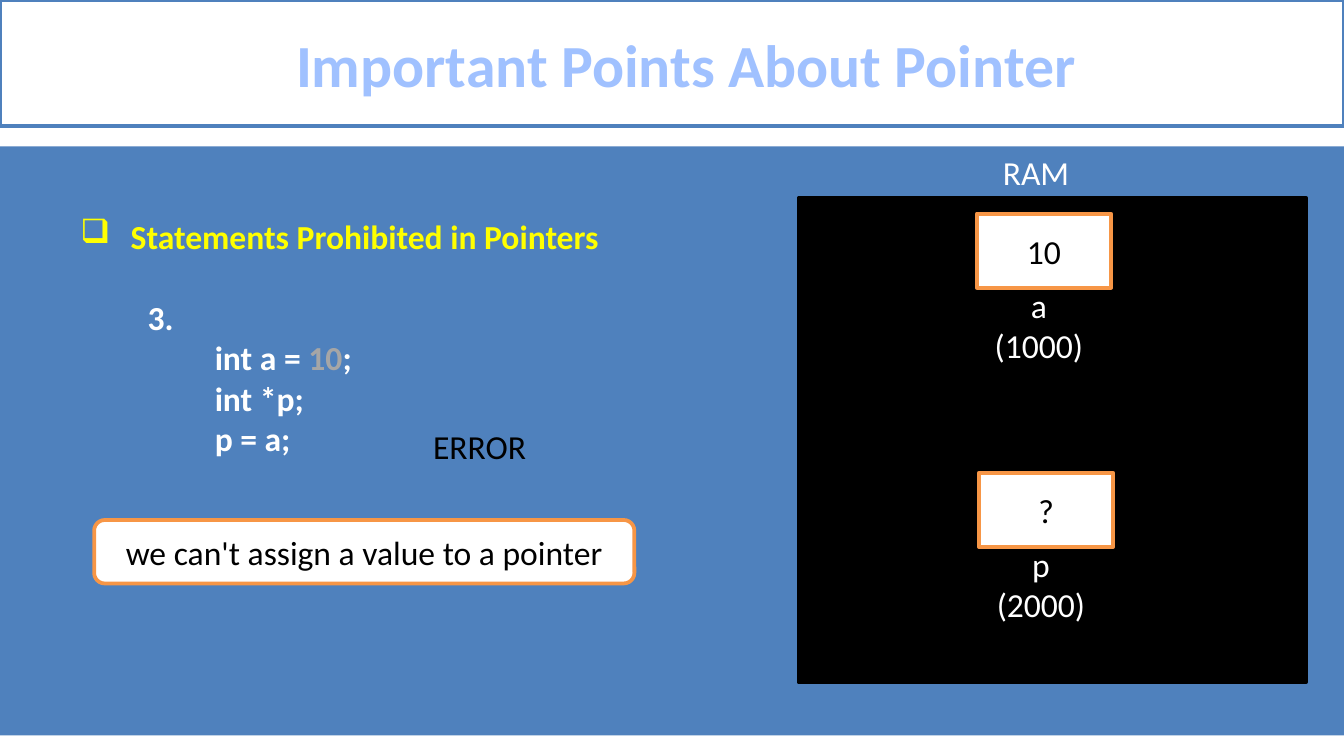
from lxml import etree
from pptx import Presentation
from pptx.dml.color import RGBColor
from pptx.enum.shapes import MSO_SHAPE
from pptx.enum.text import MSO_ANCHOR, PP_ALIGN
from pptx.oxml.ns import qn
from pptx.util import Cm, Pt

RECTANGLE, ROUNDED = MSO_SHAPE.RECTANGLE, MSO_SHAPE.ROUNDED_RECTANGLE
LEFT, CENTER = PP_ALIGN.LEFT, PP_ALIGN.CENTER
TOP, MIDDLE = MSO_ANCHOR.TOP, MSO_ANCHOR.MIDDLE

COLORS = {
    "white": "FFFFFF", "black": "000000", "blue": "4F81BD", "orange": "F79646",
    "yellow": "FFFF00", "gray": "A6A6A6", "title": "A0C1FF",
}


def rgb(name):
    return RGBColor.from_string(COLORS[name])


class PointerSlide:
    """Holds the text style and the page that elements are added to."""

    font_name = "Calibri"
    font_size = 18

    def __init__(self, page):
        self.page = page

    def style(self, para, color, size=font_size, bold=False, align=LEFT):
        para.alignment = align
        font = para.font
        font.name, font.size, font.bold = self.font_name, Pt(size), bold
        font.color.rgb = rgb(color)

    def box(self, place, fill, line=None, text="", kind=RECTANGLE,
            color="black", size=font_size, bold=False):
        shape = self.page.shapes.add_shape(kind, *map(Cm, place))
        shape.shadow.inherit = False
        shape.fill.solid()
        shape.fill.fore_color.rgb = rgb(fill)
        if line:
            shape.line.color.rgb = rgb(line)
            shape.line.width = Pt(2)
        else:
            shape.line.fill.background()
        if text:
            frame = shape.text_frame
            frame.vertical_anchor = MIDDLE
            frame.text = text
            self.style(frame.paragraphs[0], color, size, bold, CENTER)
        return shape

    def text_frame(self, place, wrap):
        frame = self.page.shapes.add_textbox(*map(Cm, place)).text_frame
        frame.word_wrap = wrap
        frame.vertical_anchor = TOP
        return frame

    def label(self, place, lines, color="white"):
        frame = self.text_frame(place, False)
        frame.text = "\n".join(lines)
        for para in frame.paragraphs:
            self.style(para, color, align=CENTER)

    def outline(self, place, rows):
        """Rows are (spans, margin, bullet, space before, color); spans are (text, color)."""
        frame = self.text_frame(place, True)
        for index, (spans, margin, bullet, space, color) in enumerate(rows):
            para = frame.add_paragraph() if index else frame.paragraphs[0]
            properties = para._p.get_or_add_pPr()
            properties.set("marL", str(Cm(margin)))
            if bullet:
                properties.set("indent", str(-Cm(0.95)))
                etree.SubElement(properties, qn("a:buChar")).set("char", bullet)
            if space:
                para.space_before = Pt(space)
            self.style(para, color, bold=True)
            for text, span_color in spans:
                span = para.add_run()
                span.text = text
                if span_color != color:
                    span.font.color.rgb = rgb(span_color)

    def memory_cell(self, left, top, value, name, address):
        self.box((left, top, 2.54, 1.4), "white", "orange", value)
        self.label((left + 0.07, top + 1.22, 2.21, 1.8), [name, address])


def main():
    deck = Presentation()
    deck.slide_width, deck.slide_height = Cm(25.4), Cm(14.29)
    slide = PointerSlide(deck.slides.add_slide(deck.slide_layouts[6]))

    slide.box((0, 2.77, 25.4, 11.13), "blue")
    title = slide.box((0, 0, 25.4, 2.39), "white", "blue",
                      "Important Points About Pointer",
                      color="title", size=32, bold=True)
    title.text_frame.margin_left = Cm(0.79)

    slide.outline((0, 3.95, 14.5, 5.6), [
        ([("Statements Prohibited in Pointers", "yellow")], 2.22, "❑", 0, "yellow"),
        ([("3.", "white")], 2.54, None, 22, "white"),
        ([("int a = ", "white"), ("10", "gray"), (";", "white")], 3.81, None, 0, "white"),
        ([("int *p;", "white")], 3.81, None, 0, "white"),
        ([("p = a;", "white")], 3.81, None, 0, "white"),
    ])
    slide.box((1.78, 9.83, 10.21, 1.2), "white", "orange",
              "we can't assign a value to a pointer", ROUNDED)

    slide.box((15.09, 3.75, 9.6, 9.14), "black", "black")
    slide.label((18.69, 2.75, 1.78, 1.03), ["RAM"])
    slide.memory_cell(18.46, 4.04, "10", "a", "(1000)")
    slide.memory_cell(18.5, 8.94, "?", "p", "(2000)")
    slide.label((7.92, 7.92, 2.29, 1.03), ["ERROR"], "black")

    deck.save("out.pptx")


if __name__ == "__main__":
    main()
